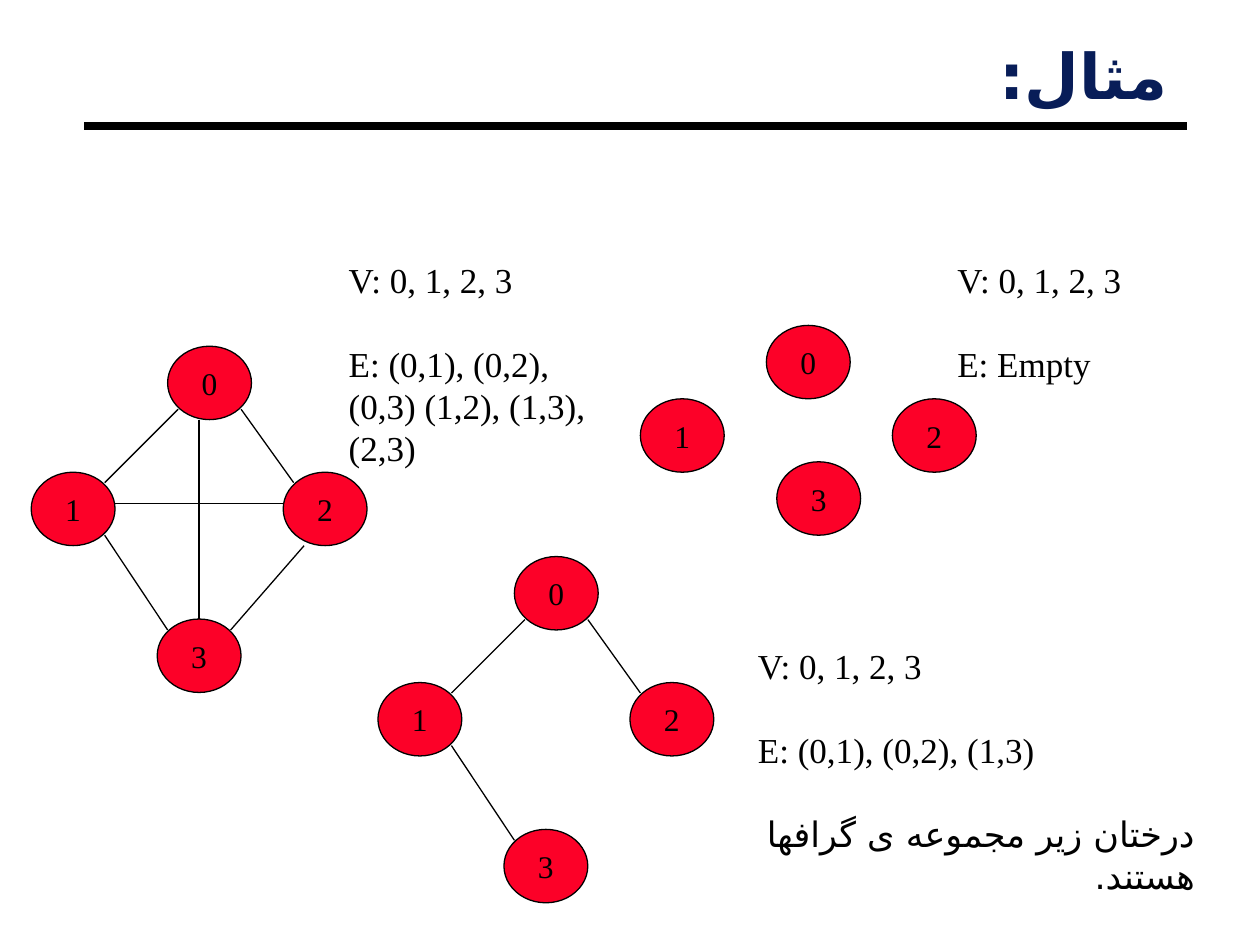
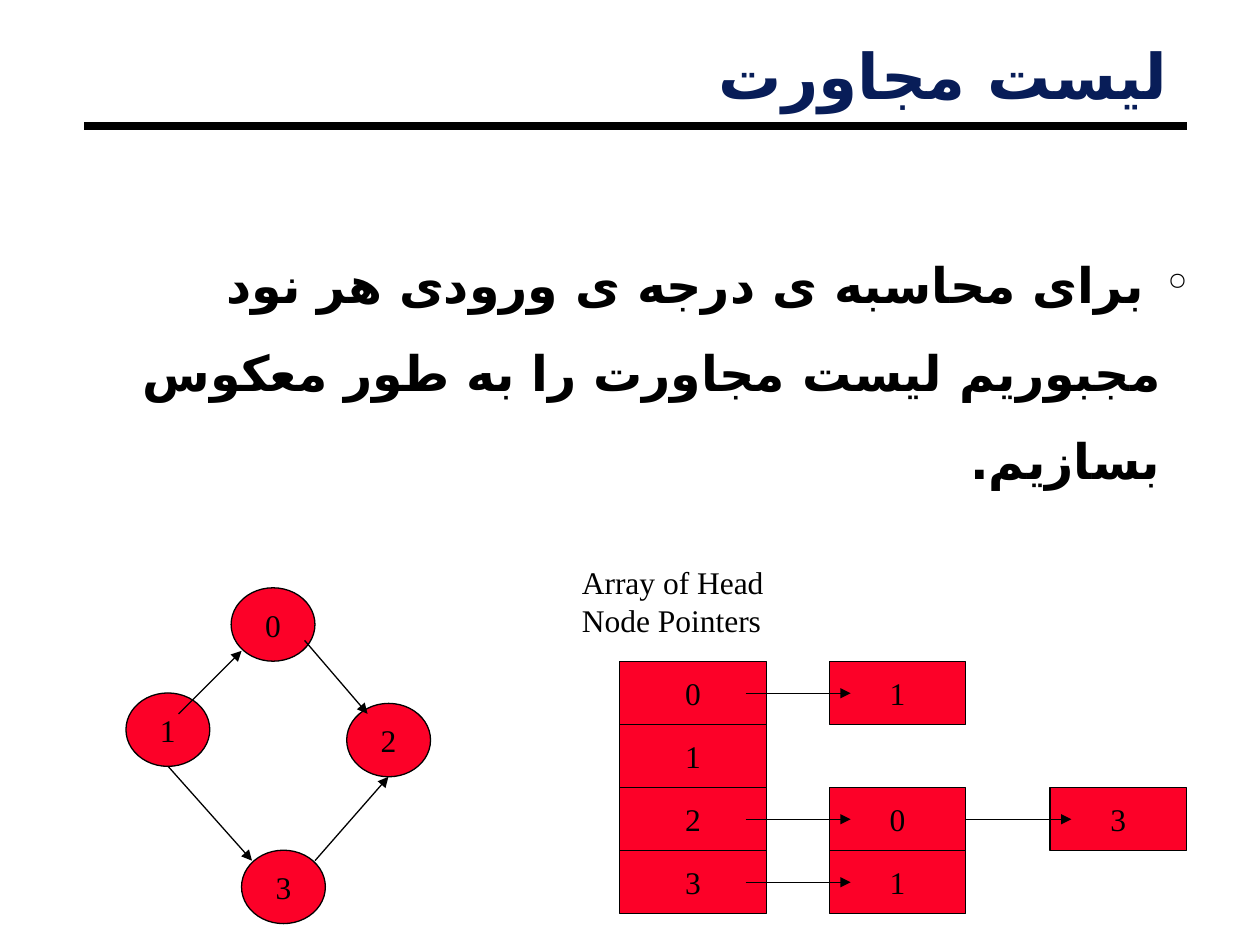
"""Builds two slides on graphs, trees and adjacency lists."""
from lxml import etree
from pptx import Presentation
from pptx import util as u
from pptx.dml.color import RGBColor
from pptx.enum import shapes, text
from pptx.oxml import ns

INK, NAVY, RED = "000000", "081D58", "FC0128"
SERIF, PERSIAN = "Times New Roman", "DejaVu Sans"
NODE_SIZE = (1.69, 1.48)
WIDE_INSETS, TIGHT_INSETS = (0.25, 0.13), (0.18, 0.08)

EXAMPLE_TITLE = "مثال:"
ADJACENCY_TITLE = "لیست مجاورت"
INVERSE_NOTE = " برای محاسبه ی درجه ی ورودی هر نود مجبوریم لیست مجاورت را به طور معکوس بسازیم."
VERTICES = "V: 0, 1, 2, 3"
TREES_ARE_GRAPHS = "درختان زیر مجموعه ی گرافها هستند."

DIAMOND = [(2.75, 0), (0, 2.54), (5.08, 2.54), (2.54, 5.5)]
SCATTERED = [(2.54, 0), (0, 1.48), (5.08, 1.48), (2.75, 2.75)]
DIRECTED = [(2.12, 0), (0, 2.12), (4.45, 2.33), (2.33, 5.29)]

TREE_EDGES = [
    ((2.96, 1.27), (1.48, 2.75)),
    ((4.23, 1.27), (5.29, 2.75)),
    ((2.75, 5.72), (1.48, 3.81)),
]
COMPLETE_EDGES = TREE_EDGES + [
    ((3.38, 1.48), (3.38, 5.5)),
    ((4.02, 5.72), (5.5, 4.02)),
    ((1.69, 3.17), (5.08, 3.17)),
]
DIRECTED_EDGES = [
    ((0.85, 3.6), (2.54, 5.5)),
    ((1.06, 2.54), (2.33, 1.27)),
    ((3.6, 1.06), (4.87, 2.54)),
    ((3.81, 5.5), (5.29, 3.81)),
]

EXAMPLES = [
    dict(origin=(0.63, 6.98), nodes=DIAMOND, edges=COMPLETE_EDGES,
         caption_box=(6.78, 5.08, 5.33, 4.5),
         caption=[VERTICES, "E: (0,1), (0,2), (0,3) (1,2), (1,3), (2,3)"]),
    dict(origin=(12.91, 6.56), nodes=SCATTERED, edges=[],
         caption_box=(19.05, 5.08, 5.33, 2.79),
         caption=[VERTICES, "E: Empty"]),
    dict(origin=(7.62, 11.22), nodes=DIAMOND, edges=TREE_EDGES,
         caption_box=(15.03, 12.87, 9.31, 5.33),
         caption=[VERTICES, "E: (0,1), (0,2), (1,3)", TREES_ARE_GRAPHS]),
]

HEAD_LABEL = ["Array of Head", "Node Pointers"]
CHAINS = {"0": ["1"], "1": [], "2": ["0", "3"], "3": ["1"]}
HEAD_LEFT, HEAD_WIDTH = 12.49, 2.96
CHAIN_LEFT, CHAIN_PITCH, CHAIN_WIDTH = 16.72, 4.45, 2.75
ROWS_TOP, ROW_HEIGHT = 13.34, 1.27
ARROW_LENGTH, ARROW_OVERLAP = 2.12, 0.43


def cm(*lengths):
    return [u.Cm(length) for length in lengths]


def color(hex_code):
    return RGBColor.from_string(hex_code)


def is_persian(words):
    return any("\u0600" <= letter <= "\u06ff" for letter in words)


def write(paragraph, words, size, font=SERIF, ink=INK, bold=False):
    run = paragraph.add_run()
    run.text = words
    run.font.size = u.Pt(size)
    run.font.bold = bold
    run.font.color.rgb = color(ink)
    run.font.name = font
    if is_persian(words):
        paragraph.alignment = text.PP_ALIGN.RIGHT
        paragraph._p.get_or_add_pPr().set("rtl", "1")
        etree.SubElement(run._r.get_or_add_rPr(), ns.qn("a:cs"), typeface=PERSIAN)


def add_frame(slide, box, insets=WIDE_INSETS, wrap=True):
    frame = slide.shapes.add_textbox(*cm(*box)).text_frame
    frame.word_wrap = wrap
    frame.margin_left = frame.margin_right = u.Cm(insets[0])
    frame.margin_top = frame.margin_bottom = u.Cm(insets[1])
    return frame


def add_lines(slide, box, lines, size, gap=0, wrap=True):
    frame = add_frame(slide, box, wrap=wrap)
    for index, words in enumerate(lines):
        paragraph = frame.add_paragraph() if index else frame.paragraphs[0]
        if index:
            paragraph.space_before = u.Pt(gap)
        write(paragraph, words, size)


def add_line(slide, start, end, width=0.75, arrow=False):
    line = slide.shapes.add_connector(shapes.MSO_CONNECTOR.STRAIGHT, *cm(*start, *end))
    line.line.color.rgb = color(INK)
    line.line.width = u.Pt(width)
    if arrow:
        etree.SubElement(line.line._get_or_add_ln(), ns.qn("a:tailEnd"), type="triangle")
    etree.SubElement(line._element.spPr, ns.qn("a:effectLst"))


def add_cell(slide, preset, box, label):
    cell = slide.shapes.add_shape(preset, *cm(*box))
    cell.shadow.inherit = False
    cell.fill.solid()
    cell.fill.fore_color.rgb = color(RED)
    cell.line.color.rgb = color(INK)
    cell.line.width = u.Pt(0.75)
    frame = cell.text_frame
    frame.word_wrap = False
    frame.vertical_anchor = text.MSO_ANCHOR.MIDDLE
    frame.paragraphs[0].alignment = text.PP_ALIGN.CENTER
    write(frame.paragraphs[0], label, 18)


def add_graph(slide, origin, nodes, edges, arrow=False):
    def place(point):
        return origin[0] + point[0], origin[1] + point[1]

    for number, node in enumerate(nodes):
        add_cell(slide, shapes.MSO_SHAPE.OVAL, (*place(node), *NODE_SIZE), str(number))
    for start, end in edges:
        add_line(slide, place(start), place(end), arrow=arrow)


def add_titled_slide(deck, title):
    slide = deck.slides.add_slide(deck.slide_layouts[6])
    add_line(slide, (1.7, 2.54), (23.92, 2.54), width=4.5)
    heading = add_frame(slide, (1.7, 0.86, 22.02, 1.52), TIGHT_INSETS).paragraphs[0]
    heading.line_spacing = 0.87
    write(heading, title, 36, "Lato", NAVY, True)
    return slide


def add_note(slide):
    note = add_frame(slide, (1.27, 4.45, 22.86, 5.49), TIGHT_INSETS).paragraphs[0]
    note.line_spacing = 1.5
    props = note._p.get_or_add_pPr()
    props.set("marL", str(u.Cm(0.56)))
    props.set("indent", str(u.Cm(-0.56)))
    bullet_color = etree.SubElement(props, ns.qn("a:buClr"))
    etree.SubElement(bullet_color, ns.qn("a:srgbClr"), val=INK)
    etree.SubElement(props, ns.qn("a:buChar"), char="°")
    write(note, INVERSE_NOTE, 28, "Roboto", bold=True)


def add_adjacency_list(slide):
    rect = shapes.MSO_SHAPE.RECTANGLE
    for row, (head, chain) in enumerate(CHAINS.items()):
        top = ROWS_TOP + row * ROW_HEIGHT
        middle = top + ROW_HEIGHT / 2
        add_cell(slide, rect, (HEAD_LEFT, top, HEAD_WIDTH, ROW_HEIGHT), head)
        for step, label in enumerate(chain):
            left = CHAIN_LEFT + step * CHAIN_PITCH
            tip = left + ARROW_OVERLAP
            add_cell(slide, rect, (left, top, CHAIN_WIDTH, ROW_HEIGHT), label)
            add_line(slide, (tip - ARROW_LENGTH, middle), (tip, middle), arrow=True)


def main():
    deck = Presentation()
    deck.slide_width, deck.slide_height = cm(25.4, 19.05)

    examples = add_titled_slide(deck, EXAMPLE_TITLE)
    for example in EXAMPLES:
        add_graph(examples, example["origin"], example["nodes"], example["edges"])
        add_lines(examples, example["caption_box"], example["caption"], 20, gap=24)

    adjacency = add_titled_slide(deck, ADJACENCY_TITLE)
    add_note(adjacency)
    add_adjacency_list(adjacency)
    add_lines(adjacency, (11.48, 11.23, 4.95, 1.78), HEAD_LABEL, 18, wrap=False)
    add_graph(adjacency, (2.54, 11.85), DIRECTED, DIRECTED_EDGES, arrow=True)

    deck.save("out.pptx")


if __name__ == "__main__":
    main()
